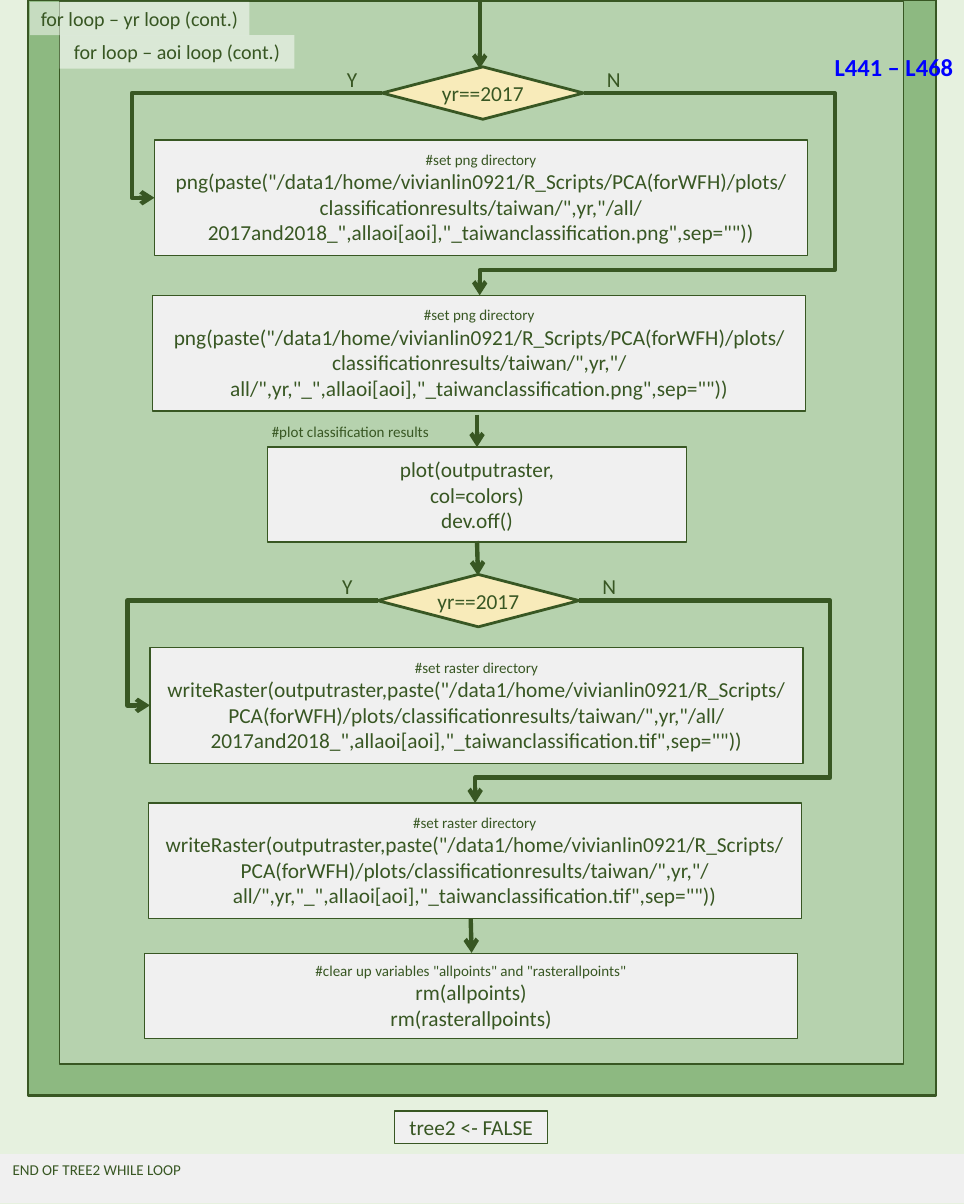
from lxml.etree import SubElement
from pptx import Presentation
from pptx.dml.color import RGBColor
from pptx.enum.shapes import MSO_CONNECTOR as Connector, MSO_SHAPE as Preset
from pptx.enum.text import MSO_ANCHOR as Anchor, PP_ALIGN as Align
from pptx.oxml.ns import qn
from pptx.util import Inches, Pt

WIDTH, HEIGHT = 10.67, 13.33
GREEN, GREY, YELLOW, WHITE, BLUE = "385723", "F0F0F0", "F8EBBA", "FFFFFF", "0000FF"
PALE, MIDDLE, DARK = "E6F1DF", "B6D2AE", "8DB981"
STEP_WIDTH, STEP_HEIGHT = 7.23, 1.28
CHOICE_WIDTH, CHOICE_HEIGHT = 2.23, 0.58

LOOPS = [
    ((0.31, 0, 10.05, 12.13), DARK, 2.25),
    ((0.66, 0.02, 9.34, 11.76), MIDDLE, 1),
]
LOOP_LABELS = [
    ("for loop – aoi loop (cont.)", (0.66, 0.39, 2.6, 0.37)),
    ("for loop – yr loop (cont.)", (0.33, 0.02, 2.43, 0.37)),
]
PLOT_PATH = "/data1/home/vivianlin0921/R_Scripts/PCA(forWFH)/plots/classificationresults/taiwan/"
BRANCHES = [
    (4.23, 0.74, "#set png directory", 'png(paste("', "png"),
    (4.18, 6.36, "#set raster directory", 'writeRaster(outputraster,paste("', "tif"),
]
FILE_NAMES = ['/all/2017and2018_"', '/all/",yr,"_"']
STEPS = [
    ((2.96, 4.95, 4.64, 1.05), ["plot(outputraster,", "col=colors)", "dev.off()"]),
    ((1.6, 10.56, STEP_WIDTH, 0.94),
     ['#clear up variables "allpoints" and "rasterallpoints"',
      "rm(allpoints)", "rm(rasterallpoints)"]),
    ((4.37, 12.3, 1.69, 0.36), ["tree2 <- FALSE"]),
]
ARROWS = [
    ((5.31, 0.02), (5.31, 0.76)),
    ((5.28, 4.59), (5.28, 4.95)),
    ((5.28, 5.99), (5.29, 6.37)),
    ((5.21, 10.17), (5.22, 10.55)),
]
NOTES = [
    ("L441 – L468", (9.14, 0.53, 1.54, 0.43), dict(size=19.5, color=BLUE, bold=True)),
    ("#plot classification results", (2.91, 4.63, 4.09, 0.3), dict(size=12)),
    ("END OF TREE2 WHILE LOOP", (0.04, 12.8, 4.09, 0.3), dict(size=12)),
]


def rgb(color):
    return RGBColor.from_string(color)


def write(shape, lines, size=17, color=GREEN, bold=False, align=Align.CENTER,
          anchor=Anchor.MIDDLE, wrap=True):
    frame = shape.text_frame
    frame.word_wrap = wrap
    frame.vertical_anchor = anchor
    for index, line in enumerate(lines):
        paragraph = frame.add_paragraph() if index else frame.paragraphs[0]
        paragraph.alignment = align
        run = paragraph.add_run()
        run.text = line
        run.font.name = "Calibri"
        run.font.size = Pt(12 if line.startswith("#") else size)
        run.font.bold = bold
        run.font.color.rgb = rgb(color)


def add_box(slide, at, fill, line=1, preset=Preset.FLOWCHART_PROCESS, opacity=None):
    shape = slide.shapes.add_shape(preset, *map(Inches, at))
    shape.shadow.inherit = False
    shape.fill.solid()
    shape.fill.fore_color.rgb = rgb(fill)
    if opacity:
        color = shape.fill._xPr.find(".//" + qn("a:srgbClr"))
        SubElement(color, qn("a:alpha"), val=str(opacity * 1000))
    if line:
        shape.line.color.rgb = rgb(GREEN)
        shape.line.width = Pt(line)
    else:
        shape.line.fill.background()
    return shape


def add_note(slide, text, at, **style):
    box = slide.shapes.add_textbox(*map(Inches, at))
    write(box, [text], align=Align.LEFT, anchor=Anchor.TOP, **style)


def add_arrow(slide, start, end, bends=()):
    kind = Connector.ELBOW if bends else Connector.STRAIGHT
    arrow = slide.shapes.add_connector(kind, *map(Inches, (*start, *end)))
    arrow.line.color.rgb = rgb(GREEN)
    arrow.line.width = Pt(3.5)
    properties = arrow._element.spPr
    SubElement(properties.find(qn("a:ln")), qn("a:tailEnd"), type="arrow")
    SubElement(properties, qn("a:effectLst"))
    if bends:
        geometry = properties.find(qn("a:prstGeom"))
        geometry.set("prst", f"bentConnector{len(bends) + 2}")
        guides = geometry.find(qn("a:avLst"))
        for axis, bend in enumerate(bends):
            share = (bend - start[axis]) / (end[axis] - start[axis])
            SubElement(guides, qn("a:gd"), name=f"adj{axis + 1}",
                       fmla=f"val {round(share * 100000)}")


def add_branch(slide, left, top, comment, call, extension):
    right, middle = left + CHOICE_WIDTH, top + CHOICE_HEIGHT / 2
    step_left, yes_top, no_top = left - 2.52, top + 0.81, top + 2.53
    choice = add_box(slide, (left, top, CHOICE_WIDTH, CHOICE_HEIGHT), YELLOW, 2.25,
                     Preset.FLOWCHART_DECISION)
    write(choice, ["yr==2017"])
    for letter, x in (("Y", left - 0.49), ("N", right + 0.16)):
        add_note(slide, letter, (x, top - 0.06, 0.34, 0.39), wrap=False)
    for name, x, y in zip(FILE_NAMES, (step_left, step_left - 0.02), (yes_top, no_top)):
        step = add_box(slide, (x, y, STEP_WIDTH, STEP_HEIGHT), GREY)
        code = (f'{call}{PLOT_PATH}",yr,"{name},allaoi[aoi],'
                f'"_taiwanclassification.{extension}",sep=""))')
        write(step, [comment, code])
    add_arrow(slide, (left, middle), (step_left, yes_top + STEP_HEIGHT / 2),
              (step_left - 0.25,))
    add_arrow(slide, (right, middle), (left + 1.08, no_top), (right + 2.78, no_top - 0.28))


def main():
    """Build the flowchart slide of the classification loops."""
    presentation = Presentation()
    presentation.slide_width, presentation.slide_height = Inches(WIDTH), Inches(HEIGHT)
    slide = presentation.slides.add_slide(presentation.slide_layouts[6])
    slide.background.fill.solid()
    slide.background.fill.fore_color.rgb = rgb(PALE)
    for at, fill, line in LOOPS:
        add_box(slide, at, fill, line, Preset.RECTANGLE)
    for text, at in LOOP_LABELS:
        label = add_box(slide, at, WHITE, None, Preset.RECTANGLE, opacity=50)
        write(label, [text], size=16, anchor=Anchor.TOP)
    add_box(slide, (0, 12.78, WIDTH, 0.54), GREY, None)
    for branch in BRANCHES:
        add_branch(slide, *branch)
    for at, lines in STEPS:
        write(add_box(slide, at, GREY), lines)
    for start, end in ARROWS:
        add_arrow(slide, start, end)
    for text, at, style in NOTES:
        add_note(slide, text, at, **style)
    presentation.save("out.pptx")


if __name__ == "__main__":
    main()
